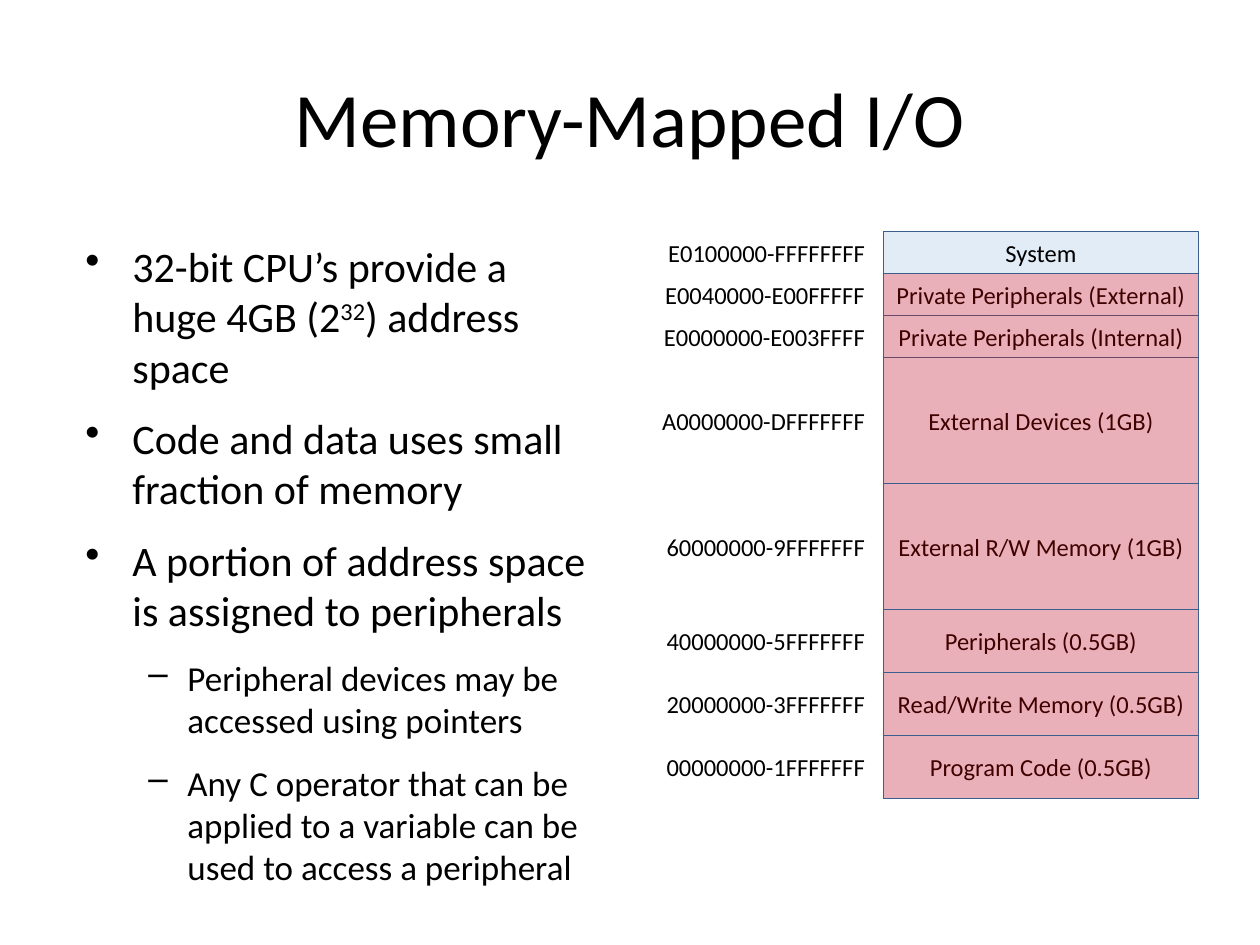
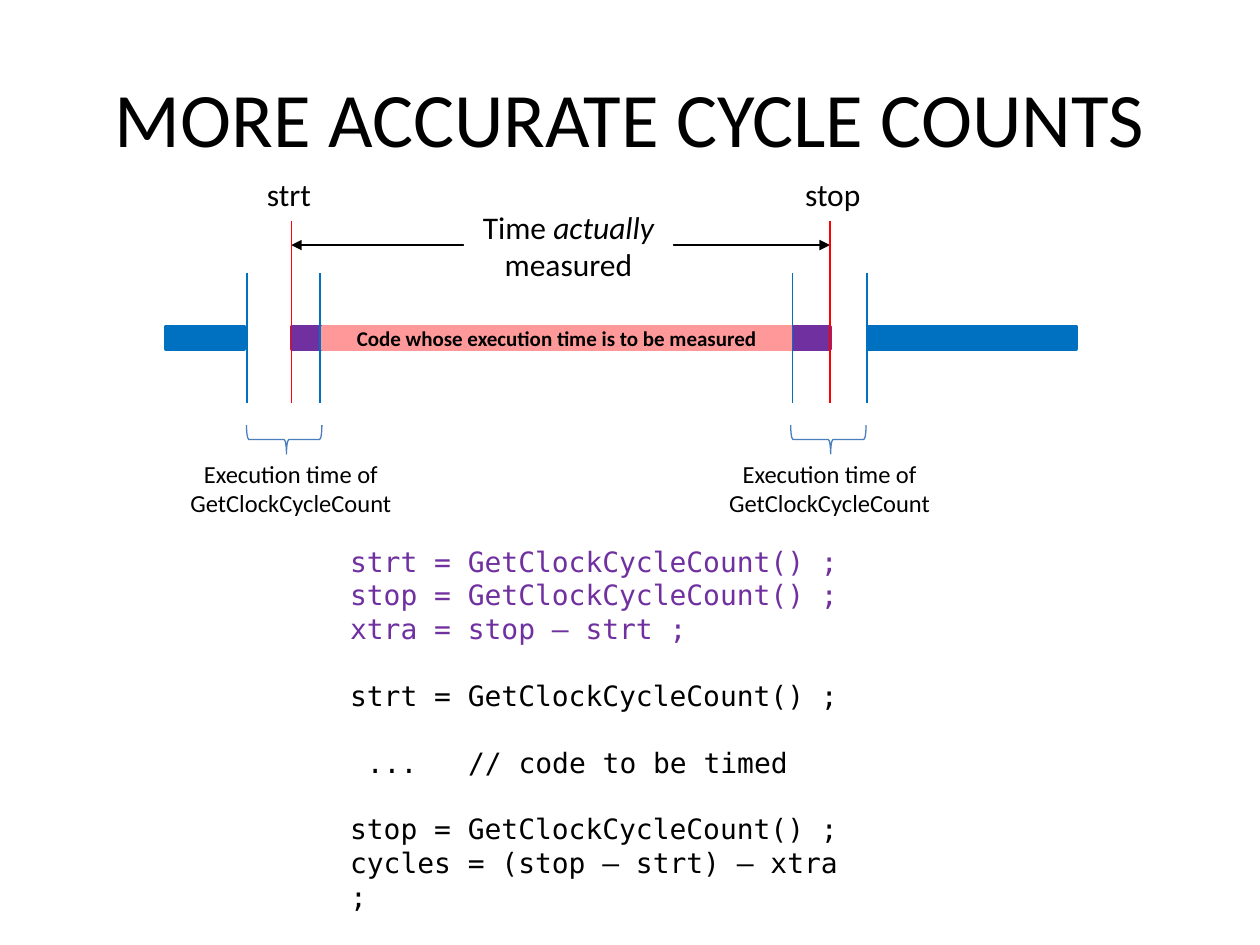
from lxml import etree
from pptx import Presentation
from pptx.dml.color import RGBColor
from pptx.enum.shapes import MSO_CONNECTOR, MSO_SHAPE
from pptx.enum.text import MSO_ANCHOR, PP_ALIGN
from pptx.oxml.ns import qn
from pptx.util import Cm, Pt

LEFT, CENTER, RIGHT = PP_ALIGN.LEFT, PP_ALIGN.CENTER, PP_ALIGN.RIGHT
TOP, MIDDLE = MSO_ANCHOR.TOP, MSO_ANCHOR.MIDDLE
RECT, BRACE = MSO_SHAPE.RECTANGLE, MSO_SHAPE.LEFT_BRACE
STRAIGHT = MSO_CONNECTOR.STRAIGHT

BLACK = RGBColor(0x00, 0x00, 0x00)
WHITE = RGBColor(0xFF, 0xFF, 0xFF)
RED = RGBColor(0xFF, 0x00, 0x00)
PINK = RGBColor(0xFF, 0x99, 0x99)
PURPLE = RGBColor(0x70, 0x30, 0xA0)
BLUE = RGBColor(0x00, 0x70, 0xC0)
REGION_BLUE = RGBColor(0x8E, 0xB4, 0xE3)
REGION_EDGE = RGBColor(0x3A, 0x5F, 0x8C)
BRACE_BLUE = RGBColor(0x4B, 0x7E, 0xBC)
BODY_FONT, CODE_FONT = "Calibri", "DejaVu Sans Mono"

# Text is a list of (words, style) runs; lengths are centimetres.
POINTS = [  # level, runs
    (0, [("32-bit CPU’s provide a huge 4GB (2", ""), ("32", "super"), (") address space", "")]),
    (0, [("Code and data uses small fraction of memory", "")]),
    (0, [("A portion of address space is assigned to peripherals", "")]),
    (1, [("Peripheral devices may be accessed using pointers", "")]),
    (1, [("Any C operator that can be applied to a variable can be used to access a peripheral", "")]),
]
LEVELS = [  # bullet, text indent, hanging indent, size
    ("•", 0.95, 0.95, 24),
    ("–", 2.06, 0.79, 20),
]

REGIONS = [  # address range, name, height
    ("E0100000-FFFFFFFF", "System", 0.85),
    ("E0040000-E00FFFFF", "Private Peripherals (External)", 0.85),
    ("E0000000-E003FFFF", "Private Peripherals (Internal)", 0.85),
    ("A0000000-DFFFFFFF", "External Devices (1GB)", 2.54),
    ("60000000-9FFFFFFF", "External R/W Memory (1GB)", 2.54),
    ("40000000-5FFFFFFF", "Peripherals (0.5GB)", 1.27),
    ("20000000-3FFFFFFF", "Read/Write Memory (0.5GB)", 1.27),
    ("00000000-1FFFFFFF", "Program Code (0.5GB)", 1.27),
]
TINTED = [(7, 7), (6, 6), (4, 4), (5, 5), (1, 3)]  # first and last region
MAP_TOP, MAP_LEFT, MAP_WIDTH = 4.66, 17.81, 6.35
RANGE_LEFT, RANGE_WIDTH = 12.91, 4.78

BAR_TOP, BAR_HEIGHT = 6.58, 0.46
BARS = [  # left, width, colour, words
    (15.95, 0.79, PURPLE, ""),
    (5.89, 0.64, PURPLE, ""),
    (3.35, 1.57, BLUE, ""),
    (6.50, 9.45, PINK, "Code whose execution time is to be measured"),
    (17.50, 4.19, BLUE, ""),
]
CALL_EDGES = [4.98, 6.45, 15.98, 17.48]
EDGE_TOP, EDGE_BOTTOM = 5.51, 8.13
READINGS = [  # variable, moment, label left, label width
    ("strt", 5.87, 5.13, 1.47),
    ("stop", 16.73, 15.98, 1.85),
]
READING_TOP, SPAN_Y = 4.45, 4.94
SPAN_LABEL = [("Time ", ""), ("actually", "italic"), (" measured", "")]
CALL_LABEL = "Execution time of GetClockCycleCount"
BRACE_LEFTS = [5.44, 16.41]

CODE = [  # colour and lines of each block
    (PURPLE, ["strt = GetClockCycleCount() ;",
              "stop = GetClockCycleCount() ;",
              "xtra = stop – strt ;"]),
    (BLACK, ["strt = GetClockCycleCount() ;"]),
    (BLACK, [" ...\t// code to be timed"]),
    (BLACK, ["stop = GetClockCycleCount() ;",
             "cycles = (stop – strt) – xtra ;"]),
]
CODE_SIZE, CODE_LINE, COMMENT_TAB = 16, 19, 2.38


def style(paragraph, size, align=LEFT, color=BLACK, font=BODY_FONT, bold=None):
    """Set the alignment and font of a whole paragraph."""
    paragraph.alignment = align
    paragraph.font.size = Pt(size)
    paragraph.font.name = font
    paragraph.font.color.rgb = color
    paragraph.font.bold = bold


def add_runs(paragraph, runs):
    """Add styled runs to a paragraph."""
    for words, look in runs:
        run = paragraph.add_run()
        run.text = words
        if look == "italic":
            run.font.italic = True
        elif look == "super":
            run.font._element.set("baseline", "30000")


def paragraphs(frame, count):
    """Return the given number of paragraphs of a text frame."""
    return [frame.paragraphs[0]] + [frame.add_paragraph() for _ in range(count - 1)]


def add_frame(slide, box, anchor=TOP, wrap=True):
    """Add a text box and return its text frame."""
    frame = slide.shapes.add_textbox(*map(Cm, box)).text_frame
    frame.word_wrap = wrap
    frame.vertical_anchor = anchor
    return frame


def add_label(slide, box, runs, size, align=LEFT, anchor=TOP, wrap=True):
    """Add a text box holding one paragraph."""
    paragraph = add_frame(slide, box, anchor, wrap).paragraphs[0]
    add_runs(paragraph, runs)
    style(paragraph, size, align)


def add_block(slide, box, fill=None, edge=None, width=0.25, alpha=None, kind=RECT):
    """Add a preset shape, optionally transparent or without fill or line."""
    block = slide.shapes.add_shape(kind, *map(Cm, box))
    block.shadow.inherit = False
    if fill is None:
        block.fill.background()
    else:
        block.fill.solid()
        block.fill.fore_color.rgb = fill
    if alpha is not None:
        tint = block.fill._xPr.find(".//" + qn("a:srgbClr"))
        etree.SubElement(tint, qn("a:alpha"), val=str(alpha * 1000))
    if edge is None:
        block.line.fill.background()
    else:
        block.line.color.rgb = edge
        block.line.width = Pt(width)
    return block


def write_in(block, words, size, bold=None):
    """Write one centred line in a shape."""
    frame = block.text_frame
    frame.word_wrap = False
    frame.margin_top = frame.margin_bottom = 0
    frame.vertical_anchor = MIDDLE
    frame.text = words
    style(frame.paragraphs[0], size, CENTER, bold=bold)


def add_line(slide, start, end, color, arrows=False):
    """Add a thin straight line, optionally with arrowheads at both ends."""
    line = slide.shapes.add_connector(STRAIGHT, *map(Cm, start + end))
    line.line.color.rgb = color
    line.line.width = Pt(0.75)
    if arrows:
        outline = line.line._get_or_add_ln()
        for end_tag in ("a:headEnd", "a:tailEnd"):
            etree.SubElement(outline, qn(end_tag), type="triangle")
    etree.SubElement(line._element.spPr, qn("a:effectLst"))


def add_titled_slide(deck, title):
    """Add a blank slide with the shared title."""
    slide = deck.slides.add_slide(deck.slide_layouts[6])
    add_label(slide, (1.27, 0.76, 22.86, 3.18), [(title, "")], 44, CENTER, MIDDLE)
    return slide


def add_points(slide):
    """Add the bulleted list."""
    frame = add_frame(slide, (1.47, 4.72, 10.8, 12.57))
    for paragraph, (level, runs) in zip(paragraphs(frame, len(POINTS)), POINTS):
        bullet, indent, hanging, size = LEVELS[level]
        add_runs(paragraph, runs)
        style(paragraph, size)
        paragraph.level = level
        paragraph.space_before = Pt(12)
        properties = paragraph._p.get_or_add_pPr()
        properties.set("marL", str(Cm(indent)))
        properties.set("indent", str(-Cm(hanging)))
        mark = etree.Element(qn("a:buChar"), char=bullet)
        properties.find(qn("a:defRPr")).addprevious(mark)


def add_memory_map(slide):
    """Stack the memory regions, then tint those that pointers may reach."""
    tops = [MAP_TOP + sum(height for _, _, height in REGIONS[:row])
            for row in range(len(REGIONS) + 1)]
    for top, (addresses, name, height) in zip(tops, REGIONS):
        region = add_block(slide, (MAP_LEFT, top, MAP_WIDTH, height),
                           REGION_BLUE, REGION_EDGE, alpha=25)
        write_in(region, name, 14)
        add_label(slide, (RANGE_LEFT, top, RANGE_WIDTH, height),
                  [(addresses, "")], 14, RIGHT, MIDDLE)
    for first, last in TINTED:
        add_block(slide, (MAP_LEFT, tops[first], MAP_WIDTH, tops[last + 1] - tops[first]),
                  RED, REGION_EDGE, alpha=25)


def add_timeline(slide):
    """Draw the run of the timed code and the two clock readings."""
    for left, width, color, words in BARS:
        bar = add_block(slide, (left, BAR_TOP, width, BAR_HEIGHT), color, color, 2)
        if words:
            write_in(bar, words, 12, bold=True)

    start, stop = [moment for _, moment, _, _ in READINGS]
    add_line(slide, (start, SPAN_Y), (stop, SPAN_Y), BLACK, arrows=True)
    add_block(slide, (9.35, 4.06, 4.22, 1.8), WHITE)
    add_label(slide, (9.35, 4.06, 4.22, 1.8), SPAN_LABEL, 18, CENTER)

    for x in CALL_EDGES:
        add_line(slide, (x, EDGE_TOP), (x, EDGE_BOTTOM), BLUE)
    for (name, x, left, width), brace_left in zip(READINGS, BRACE_LEFTS):
        add_line(slide, (x, READING_TOP), (x, EDGE_BOTTOM), RED)
        add_label(slide, (left, 3.4, width, 1.02), [(name, "")], 18, wrap=False)
        brace = add_block(slide, (brace_left, 8.1, 0.58, 1.52),
                          edge=BRACE_BLUE, width=0.75, kind=BRACE)
        brace.adjustments[0], brace.adjustments[1] = 0.08, 0.53
        brace.rotation = 270
        add_label(slide, (x - 2.47, 9.13, 4.93, 1.45), [(CALL_LABEL, "")], 14, CENTER)


def add_code(slide):
    """Add the listing, with a line's space between its blocks."""
    lines = [(color, words, block > 0 and row == 0)
             for block, (color, block_lines) in enumerate(CODE)
             for row, words in enumerate(block_lines)]
    frame = add_frame(slide, (6.81, 10.85, 10.64, 7.09))
    for paragraph, (color, words, opens) in zip(paragraphs(frame, len(lines)), lines):
        add_runs(paragraph, [(words, "")])
        style(paragraph, CODE_SIZE, color=color, font=CODE_FONT)
        if opens:
            paragraph.space_before = Pt(CODE_LINE)
        if "\t" in words:
            tabs = etree.Element(qn("a:tabLst"))
            etree.SubElement(tabs, qn("a:tab"), pos=str(Cm(COMMENT_TAB)), algn="l")
            paragraph._p.pPr.find(qn("a:defRPr")).addprevious(tabs)


deck = Presentation()
deck.slide_width, deck.slide_height = Cm(25.4), Cm(19.05)

memory_slide = add_titled_slide(deck, "Memory-Mapped I/O")
add_points(memory_slide)
add_memory_map(memory_slide)

timing_slide = add_titled_slide(deck, "MORE ACCURATE CYCLE COUNTS")
add_timeline(timing_slide)
add_code(timing_slide)

deck.save("out.pptx")
